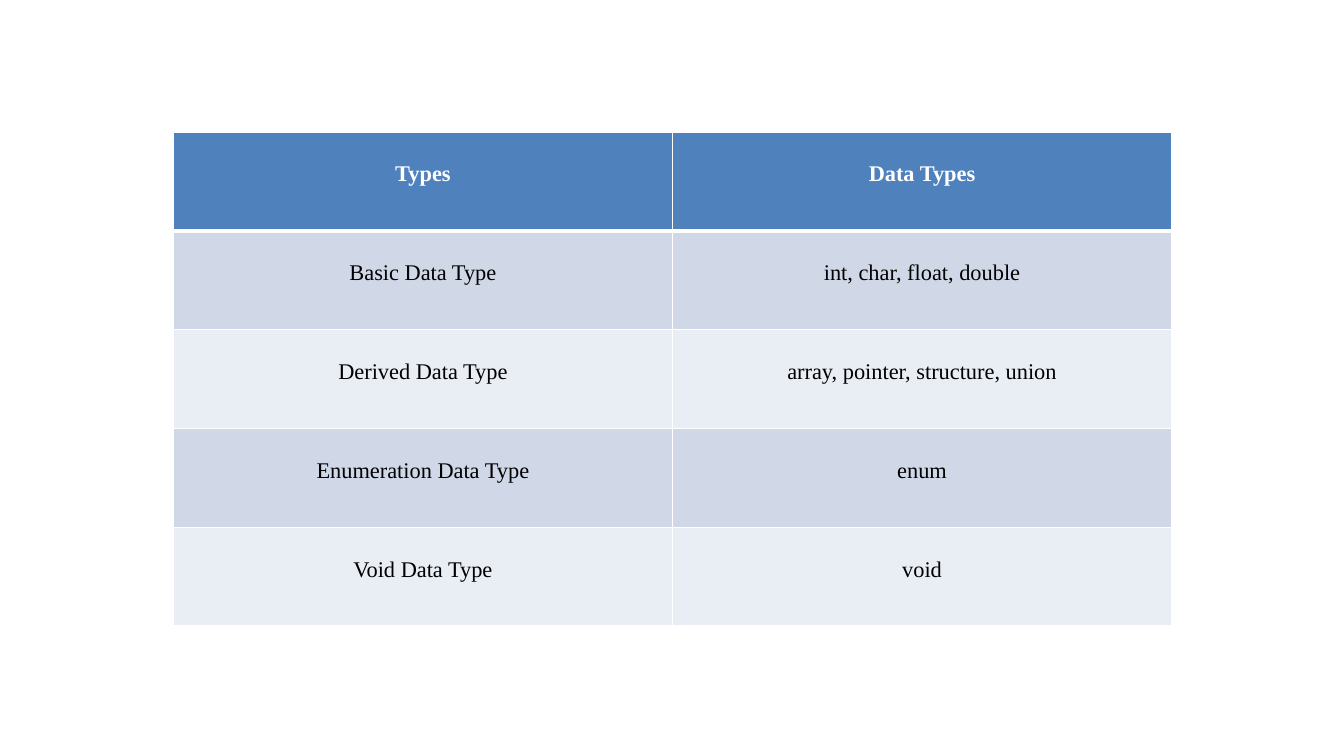
from lxml import etree
from pptx import Presentation
from pptx.dml.color import RGBColor
from pptx.enum import text
from pptx.oxml import ns
from pptx.util import Inches, Pt

FONT = "Times New Roman"
WHITE = RGBColor(0xFF, 0xFF, 0xFF)
BLACK = RGBColor(0x00, 0x00, 0x00)
HEADER_BLUE = RGBColor(0x4F, 0x81, 0xBD)
BANDS = (RGBColor(0xD0, 0xD8, 0xE8), RGBColor(0xE9, 0xED, 0xF4))

ROWS = [
    ("Types", "Data Types"),
    ("Basic Data Type", "int, char, float, double"),
    ("Derived Data Type", "array, pointer, structure, union"),
    ("Enumeration Data Type", "enum"),
    ("Void Data Type", "void"),
]
COLUMN_WIDTH = Inches(4.95)
ROW_HEIGHT = Inches(0.98)


def write_text(frame, content, size=16, color=BLACK, bold=False):
    paragraph = frame.paragraphs[0]
    paragraph.alignment = text.PP_ALIGN.CENTER
    paragraph.line_spacing = 2.0
    run = paragraph.add_run()
    run.text = content
    run.font.name = FONT
    run.font.size = Pt(size)
    run.font.bold = bold
    run.font.color.rgb = color


def set_borders(cell, color=WHITE, **widths):
    """Draw solid borders; widths maps the sides L, R, T, B to points."""
    properties = cell._tc.get_or_add_tcPr()
    for position, side in enumerate("LRTB"):
        line = etree.Element(ns.qn(f"a:ln{side}"), w=str(Pt(widths[side])))
        fill = etree.SubElement(line, ns.qn("a:solidFill"))
        etree.SubElement(fill, ns.qn("a:srgbClr"), val=str(color))
        properties.insert(position, line)


def add_types_table(slide, left, top):
    column_count = len(ROWS[0])
    table = slide.shapes.add_table(
        len(ROWS), column_count, left, top,
        COLUMN_WIDTH * column_count, ROW_HEIGHT * len(ROWS)).table
    for column in table.columns:
        column.width = COLUMN_WIDTH
    for row_index, labels in enumerate(ROWS):
        table.rows[row_index].height = ROW_HEIGHT
        header = row_index == 0
        for column_index, label in enumerate(labels):
            cell = table.cell(row_index, column_index)
            cell.fill.solid()
            cell.fill.fore_color.rgb = HEADER_BLUE if header else BANDS[(row_index - 1) % 2]
            set_borders(cell, L=1, R=1, T=3 if row_index == 1 else 1, B=3 if header else 1)
            write_text(cell.text_frame, label, color=WHITE if header else BLACK, bold=header)


def main():
    presentation = Presentation()
    presentation.slide_width = Inches(13.33)
    presentation.slide_height = Inches(7.5)
    blank_layout = presentation.slide_layouts[6]
    slide = presentation.slides.add_slide(blank_layout)
    add_types_table(slide, Inches(1.72), Inches(1.31))
    presentation.save("out.pptx")


if __name__ == "__main__":
    main()
